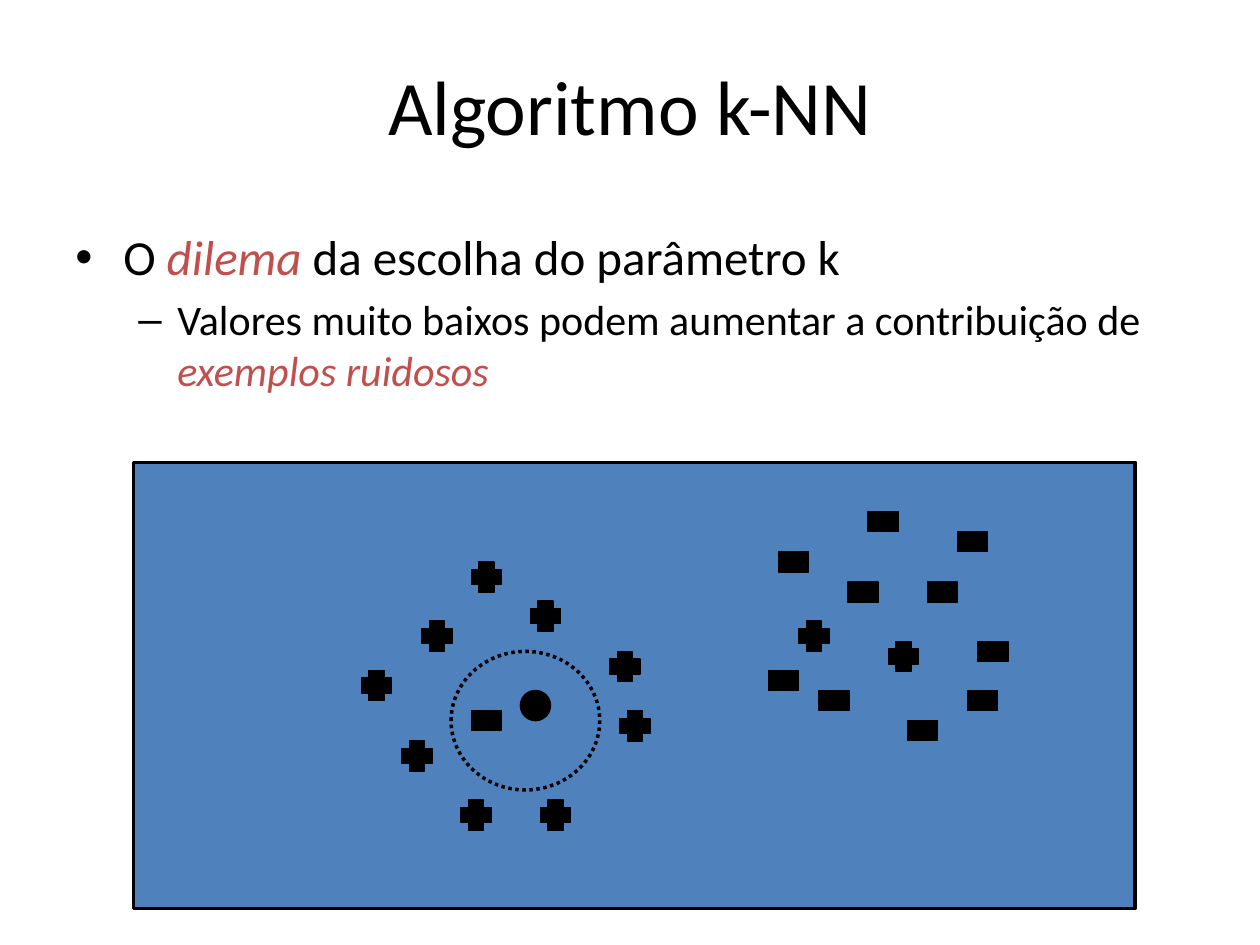
"""Build the slide on the dilemma of choosing k in the k-NN algorithm."""
from lxml import etree
from pptx import Presentation
from pptx import util as u
from pptx.dml.color import RGBColor
from pptx.enum import dml, shapes, text
from pptx.oxml.ns import qn

PX = 9144
BLACK = RGBColor(0x00, 0x00, 0x00)
BLUE = RGBColor(0x4F, 0x81, 0xBD)
RED = RGBColor(0xC0, 0x50, 0x4D)
KIND = shapes.MSO_SHAPE


def add_shape(kind, x, y, w, h, fill, line_pt):
    sp = s.shapes.add_shape(kind, x * PX, y * PX, w * PX, h * PX)
    sp.shadow.inherit = False
    if fill is None:
        sp.fill.background()
    else:
        sp.fill.solid()
        sp.fill.fore_color.rgb = fill
    sp.line.color.rgb = BLACK
    sp.line.width = u.Pt(line_pt)
    return sp


prs = Presentation()
prs.slide_width, prs.slide_height = 1000 * PX, 750 * PX
s = prs.slides.add_slide(prs.slide_layouts[5])

title = s.shapes.title
title.left, title.top, title.width, title.height = 50 * PX, 21 * PX, 900 * PX, 125 * PX
tf = title.text_frame
tf.vertical_anchor = text.MSO_ANCHOR.MIDDLE
p = tf.paragraphs[0]
p.alignment = text.PP_ALIGN.CENTER
r = p.add_run()
r.text = "Algoritmo k-NN"
r.font.name, r.font.size = "Calibri", u.Pt(44)
r.font.color.rgb = BLACK

BODY = [
    (0, "•", 38, 38, 28, 0,
     [("O ", False), ("dilema", True), (" da escolha do parâmetro k", False)]),
    (1, "–", 81, 31, 24, 4.8,
     [("Valores muito baixos podem aumentar a contribuição de ", False),
      ("exemplos ruidosos", True)]),
]
tf = s.shapes.add_textbox(50 * PX, 175 * PX, 915 * PX, 495 * PX).text_frame
tf.word_wrap = True
for i, (level, bullet, margin, hang, size, before, runs) in enumerate(BODY):
    p = tf.add_paragraph() if i else tf.paragraphs[0]
    p.level = level
    pPr = p._p.get_or_add_pPr()
    pPr.set("marL", str(margin * PX))
    pPr.set("indent", str(-hang * PX))
    etree.SubElement(pPr, qn("a:buFont")).set("typeface", "Arial")
    etree.SubElement(pPr, qn("a:buChar")).set("char", bullet)
    if before:
        p.space_before = u.Pt(before)
    for words, stressed in runs:
        r = p.add_run()
        r.text = words
        r.font.name, r.font.size = "Calibri", u.Pt(size)
        r.font.italic = stressed
        r.font.color.rgb = RED if stressed else BLACK

add_shape(KIND.RECTANGLE, 106, 367, 795, 354, BLUE, 2)

PLUSES = [(484, 517), (421, 477), (429, 635), (319, 588), (335, 493), (634, 493),
          (705, 509), (287, 532), (492, 564), (366, 635), (374, 446)]
for x, y in PLUSES:
    sp = add_shape(KIND.CROSS, x, y, 24, 24, BLACK, 0.75)
    sp.adjustments[0] = 0.25

MINUSES = [(673, 462), (689, 406), (650, 548), (374, 564), (720, 572), (776, 509),
           (736, 462), (618, 438), (760, 422), (768, 548), (610, 532)]
for x, y in MINUSES:
    add_shape(KIND.RECTANGLE, x, y, 24, 16, BLACK, 0.75)

add_shape(KIND.OVAL, 413, 548, 24, 24, BLACK, 0.75)
neighbourhood = add_shape(KIND.OVAL, 358, 517, 118, 110, None, 2)
neighbourhood.line.dash_style = dml.MSO_LINE.ROUND_DOT

prs.save("out.pptx")
